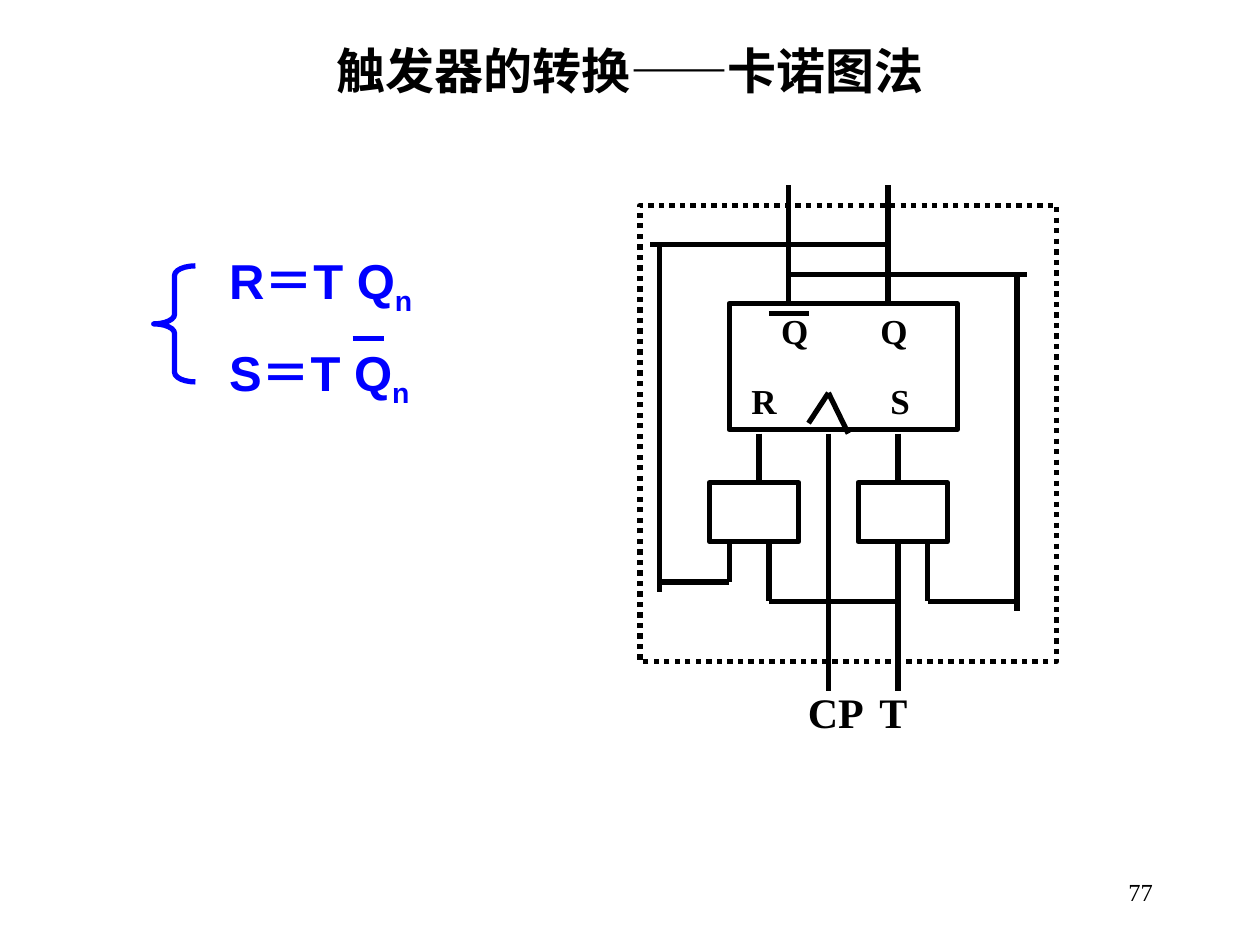
from lxml.etree import SubElement
from pptx import Presentation
from pptx.dml.color import RGBColor
from pptx.enum.dml import MSO_LINE
from pptx.enum.shapes import MSO_CONNECTOR, MSO_SHAPE
from pptx.enum.text import MSO_ANCHOR, PP_ALIGN
from pptx.oxml.ns import qn
from pptx.util import Cm, Pt

BLACK = RGBColor(0, 0, 0)
BLUE = RGBColor(0, 0, 255)
LINE_WIDTH = Pt(3)

FORMULA_FONT = {"name": "Arial", "size": Pt(28), "bold": True}
PIN_FONT = {"name": "Times New Roman", "size": Pt(20), "bold": True}
INPUT_FONT = {"name": "Times New Roman", "size": Pt(24), "bold": True}
NUMBER_FONT = {"name": "Times New Roman", "size": Pt(14), "bold": False}

# Wires in cm: (x1, y1, x2, y2)
CLOCK_WIRES = [
    (16.7, 7.92, 16.3, 8.53),
    (16.7, 7.92, 17.1, 8.74),
    (16.7, 8.74, 16.7, 13.92),
]
OUTPUT_WIRES = [
    (15.9, 6.12, 15.9, 3.73),
    (17.9, 6.12, 17.9, 3.73),
    (15.5, 6.32, 16.3, 6.32),  # bar over the inverted output
]
GATE_WIRES = [
    (15.3, 8.74, 15.3, 9.73),
    (18.1, 8.74, 18.1, 9.73),
    (18.1, 10.92, 18.1, 13.92),
    (15.5, 10.92, 15.5, 12.12),
    (15.5, 12.12, 18.1, 12.12),
]
FEEDBACK_WIRES = [
    (15.9, 5.54, 20.7, 5.54),
    (20.5, 5.54, 20.5, 12.32),
    (18.7, 10.92, 18.7, 12.12),
    (18.7, 12.12, 20.5, 12.12),
    (17.9, 4.93, 13.1, 4.93),
    (13.3, 4.93, 13.3, 11.94),
    (13.3, 11.73, 14.7, 11.73),
    (14.7, 11.73, 14.7, 10.92),
]
PIN_LABELS = [("Q", 15.5, 6.12), ("Q", 17.5, 6.12), ("R", 14.9, 7.52), ("S", 17.7, 7.52)]
INPUT_LABELS = [("CP", 16.0, 1.7), ("T", 17.46, 1.1)]


def format_font(font, values, color):
    for attribute, value in values.items():
        setattr(font, attribute, value)
    font.color.rgb = color


def add_text(slide, text, box, values, alignment=PP_ALIGN.LEFT, anchor=MSO_ANCHOR.TOP):
    shape = slide.shapes.add_textbox(*map(Cm, box))
    frame = shape.text_frame
    frame.word_wrap = True
    frame.vertical_anchor = anchor
    paragraph = frame.paragraphs[0]
    paragraph.text = text
    paragraph.alignment = alignment
    format_font(paragraph.font, values, BLACK)


def add_outline(slide, kind, box, color=BLACK, dash=None):
    shape = slide.shapes.add_shape(kind, *map(Cm, box))
    shape.shadow.inherit = False
    shape.fill.background()
    shape.line.color.rgb = color
    shape.line.width = LINE_WIDTH
    if dash:
        shape.line.dash_style = dash
    return shape


def add_wire(slide, points, color=BLACK):
    connector = slide.shapes.add_connector(MSO_CONNECTOR.STRAIGHT, *map(Cm, points))
    connector.line.color.rgb = color
    connector.line.width = LINE_WIDTH
    SubElement(connector._element.spPr, qn("a:effectLst"))


def add_title(slide, text):
    title = slide.shapes.title
    title.left, title.top, title.width, title.height = Cm(0), Cm(0.69), Cm(25.4), Cm(1.45)
    title.text_frame.text = text
    paragraph = title.text_frame.paragraphs[0]
    paragraph.alignment = PP_ALIGN.CENTER
    format_font(paragraph.font, FORMULA_FONT, BLACK)


def add_formulas(slide):
    shape = slide.shapes.add_textbox(Cm(4.37), Cm(4.93), Cm(5.92), Cm(3.23))
    frame = shape.text_frame
    frame.word_wrap = True
    for index, text in enumerate(["R＝T Q", "S＝T Q"]):
        paragraph = frame.add_paragraph() if index else frame.paragraphs[0]
        if index:
            paragraph.space_before = Pt(14)
        for part, baseline in [(text, None), ("n", "-25000")]:
            run = paragraph.add_run()
            run.text = part
            format_font(run.font, FORMULA_FONT, BLUE)
            if baseline:
                run.font._element.set("baseline", baseline)
    # Brace in front, negation bar over the second Q
    brace = add_outline(slide, MSO_SHAPE.LEFT_BRACE, (3.1, 5.36, 0.84, 2.34), BLUE)
    brace.adjustments[0] = 0.23
    add_wire(slide, (7.11, 6.83, 7.75, 6.83), BLUE)


def add_circuit(slide):
    # Dotted frame, flip-flop and the two gates
    add_outline(slide, MSO_SHAPE.RECTANGLE, (12.9, 4.14, 8.4, 9.2), dash=MSO_LINE.ROUND_DOT)
    add_outline(slide, MSO_SHAPE.RECTANGLE, (14.7, 6.12, 4.6, 2.54))
    for left in (14.3, 17.3):
        add_outline(slide, MSO_SHAPE.RECTANGLE, (left, 9.73, 1.8, 1.19))

    for wire in CLOCK_WIRES + OUTPUT_WIRES + GATE_WIRES + FEEDBACK_WIRES:
        add_wire(slide, wire)

    # Pin and input names
    for text, left, top in PIN_LABELS:
        add_text(slide, text, (left, top, 1.1, 1.1), PIN_FONT)
    for text, left, width in INPUT_LABELS:
        add_text(slide, text, (left, 13.72, width, 1.27), INPUT_FONT, PP_ALIGN.CENTER)


def main():
    presentation = Presentation()
    presentation.slide_width, presentation.slide_height = Cm(25.4), Cm(19.05)
    slide = presentation.slides.add_slide(presentation.slide_layouts[5])
    add_title(slide, "触发器的转换——卡诺图法")
    add_formulas(slide)
    add_circuit(slide)
    add_text(slide, "77", (18.21, 17.35, 5.28, 1.27), NUMBER_FONT,
             PP_ALIGN.RIGHT, MSO_ANCHOR.MIDDLE)
    presentation.save("out.pptx")


if __name__ == "__main__":
    main()
